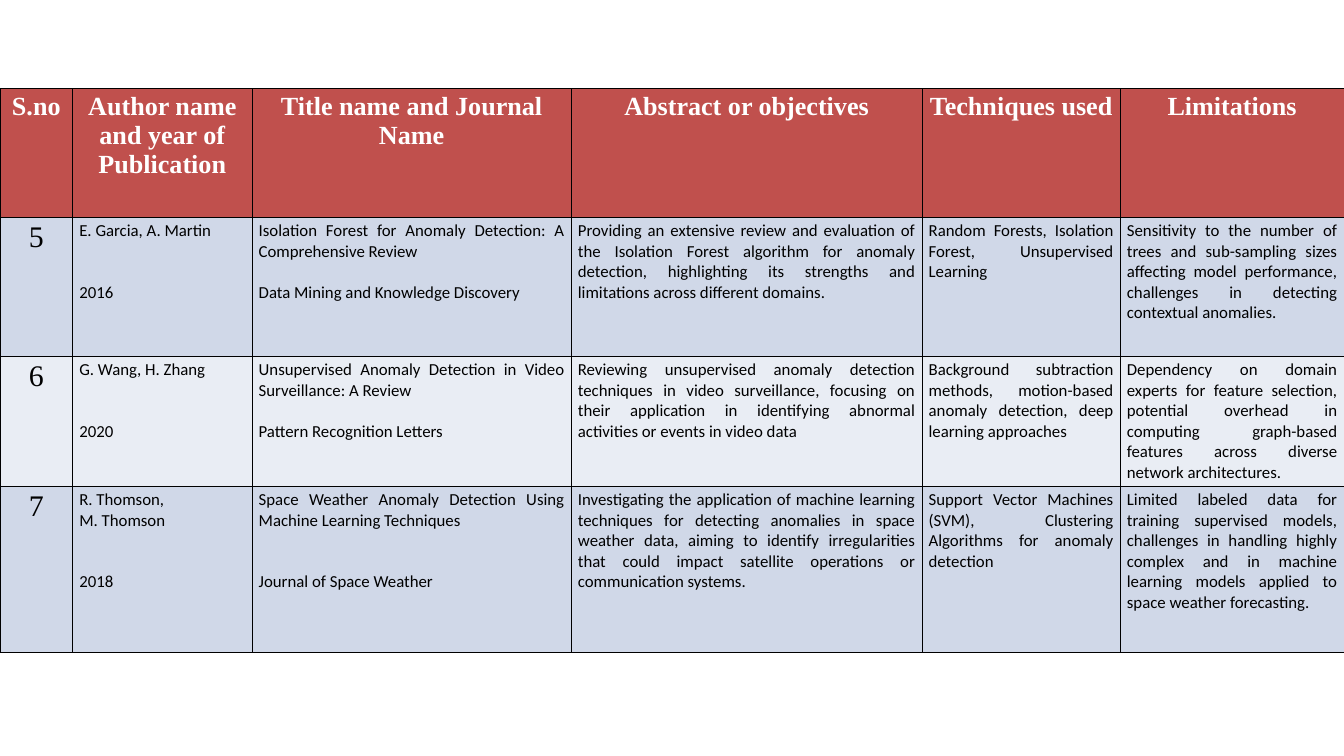
import pptx
import pptx.util
import pptx.dml.color
import pptx.enum.text
import pptx.oxml.ns
import lxml.etree

Inches = pptx.util.Inches
Pt = pptx.util.Pt
Align = pptx.enum.text.PP_ALIGN

COLUMN_WIDTHS = [1.08, 2.67, 4.75, 5.22, 2.95, 3.33]
ROW_HEIGHTS = [1.92, 2.07, 1.92, 2.48]
LINE_POINTS = 22

HEADINGS = [
    "S.no", "Author name and year of Publication", "Title name and Journal Name",
    "Abstract or objectives", "Techniques used", "Limitations",
]
PAPERS = [
    dict(
        number="5", authors=["E. Garcia, A. Martin"], year="2016",
        title="Isolation Forest for Anomaly Detection: A Comprehensive Review",
        journal="Data Mining and Knowledge Discovery", journal_gap=1,
        details=[
            "Providing an extensive review and evaluation of the Isolation Forest algorithm for anomaly "
            "detection, highlighting its strengths and limitations across different domains.",
            "Random Forests, Isolation Forest, Unsupervised Learning",
            "Sensitivity to the number of trees and sub-sampling sizes affecting model performance, "
            "challenges in detecting contextual anomalies.",
        ],
    ),
    dict(
        number="6", authors=["G. Wang, H. Zhang"], year="2020",
        title="Unsupervised Anomaly Detection in Video Surveillance: A Review",
        journal="Pattern Recognition Letters", journal_gap=1,
        details=[
            "Reviewing unsupervised anomaly detection techniques in video surveillance, focusing on their "
            "application in identifying abnormal activities or events in video data",
            "Background subtraction methods, motion-based anomaly detection, deep learning approaches",
            "Dependency on domain experts for feature selection, potential overhead in computing "
            "graph-based features across diverse network architectures.",
        ],
    ),
    dict(
        number="7", authors=["R. Thomson, ", "M. Thomson"], year="2018",
        title="Space Weather Anomaly Detection Using Machine Learning Techniques",
        journal="Journal of Space Weather", journal_gap=2,
        details=[
            "Investigating the application of machine learning techniques for detecting anomalies in space "
            "weather data, aiming to identify irregularities that could impact satellite operations or "
            "communication systems.",
            "Support Vector Machines (SVM), Clustering Algorithms for anomaly detection",
            "Limited labeled data for training supervised models, challenges in handling highly complex and "
            "in machine learning models applied to space weather forecasting.",
        ],
    ),
]


def color(value):
    return pptx.dml.color.RGBColor.from_string(value)


def write(cell, lines, size=18, font="Calibri", ink="000000", bold=False, align=Align.JUSTIFY, last_gap=0):
    frame = cell.text_frame
    for index, line in enumerate(lines):
        para = frame.add_paragraph() if index else frame.paragraphs[0]
        para.alignment = align
        span = para.add_run()
        span.text = line
        span.font.size = Pt(size)
        span.font.name = font
        span.font.bold = bold
        span.font.color.rgb = color(ink)
    if last_gap:
        para.space_before = Pt(last_gap * LINE_POINTS)


def style_cell(cell, fill, line="000000"):
    properties = cell._tc.get_or_add_tcPr()
    for side in ("lnL", "lnR", "lnT", "lnB"):
        border = lxml.etree.SubElement(properties, pptx.oxml.ns.qn(f"a:{side}"), w=str(Pt(1)))
        solid = lxml.etree.SubElement(border, pptx.oxml.ns.qn("a:solidFill"))
        lxml.etree.SubElement(solid, pptx.oxml.ns.qn("a:srgbClr"), val=line)
    cell.fill.solid()
    cell.fill.fore_color.rgb = color(fill)


def fill_paper_row(cells, paper):
    number, authors, title, *details = cells
    write(number, [paper["number"]], size=32, font="Times New Roman", align=Align.CENTER)
    write(authors, paper["authors"] + [paper["year"]], last_gap=2)
    write(title, [paper["title"], paper["journal"]], last_gap=paper["journal_gap"])
    for cell, text in zip(details, paper["details"]):
        write(cell, [text])


def add_survey_table(page, left, top, width, height):
    box = page.shapes.add_table(
        len(ROW_HEIGHTS), len(COLUMN_WIDTHS), Inches(left), Inches(top), Inches(width), Inches(height)
    )
    table = box.table
    for column, share in zip(table.columns, COLUMN_WIDTHS):
        column.width = Inches(width * share / sum(COLUMN_WIDTHS))
    for row, share in zip(table.rows, ROW_HEIGHTS):
        row.height = Inches(height * share / sum(ROW_HEIGHTS))
    for row, fill in zip(table.rows, ["C0504D", "D0D8E8", "E9EDF4", "D0D8E8"]):
        for cell in row.cells:
            style_cell(cell, fill)
    header, *body = table.rows
    for cell, heading in zip(header.cells, HEADINGS):
        write(cell, [heading], size=28, font="Times New Roman", ink="FFFFFF", bold=True, align=Align.CENTER)
    for row, paper in zip(body, PAPERS):
        fill_paper_row(row.cells, paper)


def main():
    deck = pptx.Presentation()
    deck.slide_width = Inches(20)
    deck.slide_height = Inches(11.25)
    page = deck.slides.add_slide(deck.slide_layouts[6])
    add_survey_table(page, 0, 1.32, 20, 8.38)
    deck.save("out.pptx")


if __name__ == "__main__":
    main()
